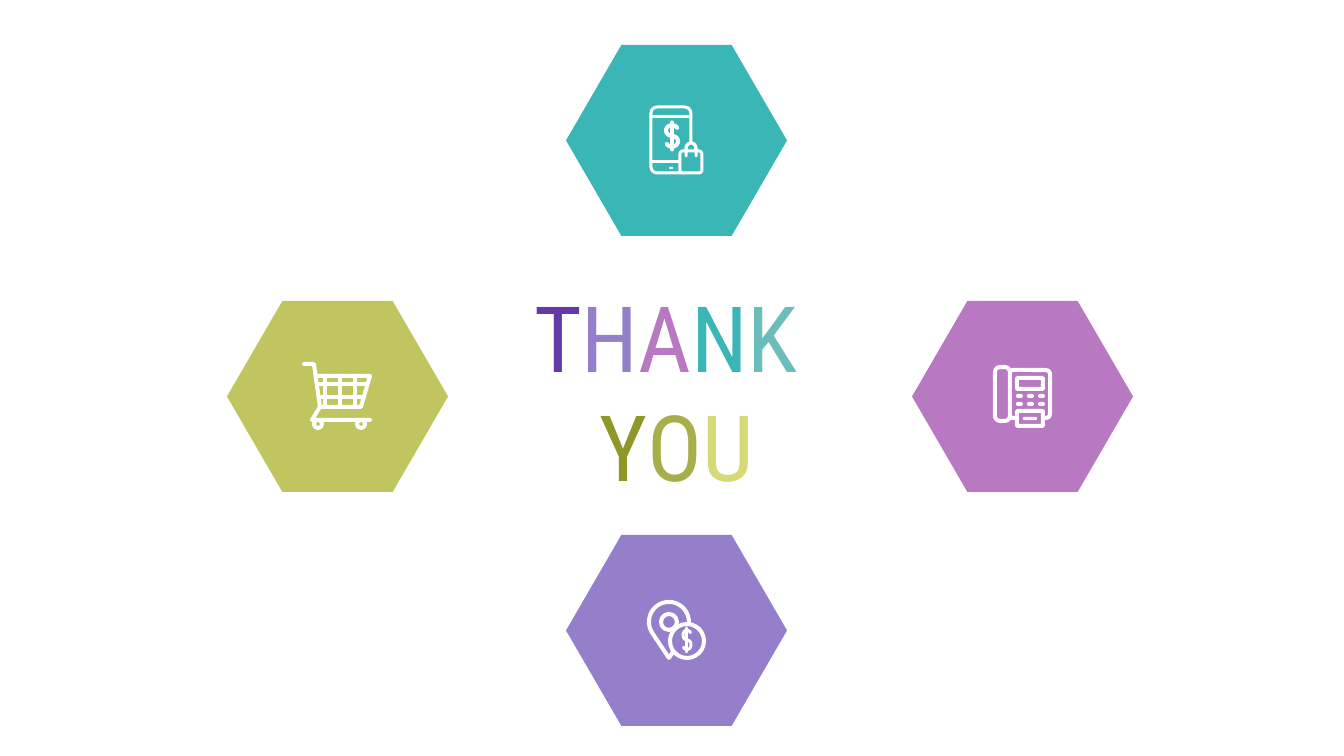
import math

import pptx
import pptx.dml.color
import pptx.enum.shapes
import pptx.enum.text
import pptx.util

RGB = pptx.dml.color.RGBColor
KIND = pptx.enum.shapes.MSO_SHAPE

EMU_PER_PX = 914400 / 134.4
WHITE = RGB(0xFF, 0xFF, 0xFF)
TEAL = RGB(0x39, 0xB6, 0xB5)
AQUA = RGB(0x69, 0xBE, 0xBC)
INDIGO = RGB(0x66, 0x39, 0xA8)
LAVENDER = RGB(0x95, 0x7F, 0xCA)
ORCHID = RGB(0xB8, 0x78, 0xC2)
LIME = RGB(0xC0, 0xC5, 0x5F)
OLIVE = RGB(0x90, 0x96, 0x28)
MOSS = RGB(0xA9, 0xAE, 0x4D)
YELLOW = RGB(0xD5, 0xDA, 0x76)

THANK = [("T", INDIGO), ("H", LAVENDER), ("A", ORCHID), ("N", TEAL), ("K ", AQUA)]
YOU = [("Y", OLIVE), ("O", MOSS), ("U", YELLOW)]


def px(n):
    return pptx.util.Emu(round(n * EMU_PER_PX))


def arc(cx, cy, rx, ry, start, end):
    """Points along an ellipse; degrees run clockwise from the right."""
    angles = [math.radians(start + (end - start) * i / 24) for i in range(25)]
    return [(cx + rx * math.cos(a), cy + ry * math.sin(a)) for a in angles]


class SlideBuilder:
    font = "Roboto Condensed"
    title_size = pptx.util.Pt(49)

    def __init__(self, prs):
        self.s = prs.slides.add_slide(prs.slide_layouts[5])

    def paint(self, sp, fill, weight):
        """Fill the shape, or leave it open, and give it a white line of weight px."""
        sp.shadow.inherit = False
        if fill is None:
            sp.fill.background()
        else:
            sp.fill.solid()
            sp.fill.fore_color.rgb = fill
        if weight:
            sp.line.color.rgb = WHITE
            sp.line.width = px(weight)
            sp.line._get_or_add_ln().set("cap", "rnd")
        else:
            sp.line.fill.background()

    def title(self, left, top, width, height, lines):
        sp = self.s.shapes.title
        sp.left, sp.top, sp.width, sp.height = map(px, (left, top, width, height))
        tf = sp.text_frame
        tf.word_wrap = True
        tf.auto_size = pptx.enum.text.MSO_AUTO_SIZE.NONE
        tf.vertical_anchor = pptx.enum.text.MSO_ANCHOR.MIDDLE
        tf.margin_left = tf.margin_right = tf.margin_top = tf.margin_bottom = pptx.util.Inches(0.1)
        for i, letters in enumerate(lines):
            p = tf.add_paragraph() if i else tf.paragraphs[0]
            p.alignment = pptx.enum.text.PP_ALIGN.CENTER
            for letter, color in letters:
                r = p.add_run()
                r.text = letter
                r.font.name = self.font
                r.font.size = self.title_size
                r.font.color.rgb = color

    def shape(self, kind, left, top, width, height, fill=None, weight=0):
        sp = self.s.shapes.add_shape(kind, *map(px, (left, top, width, height)))
        self.paint(sp, fill, weight)
        return sp

    def hexagon(self, left, top, fill):
        sp = self.shape(KIND.HEXAGON, left, top, 221, 191, fill)
        sp.adjustments[0] = 0.29

    def rounded(self, left, top, width, height, radius, fill=None, weight=0):
        sp = self.shape(KIND.ROUNDED_RECTANGLE, left, top, width, height, fill, weight)
        sp.adjustments[0] = radius / min(width, height)

    def circle(self, cx, cy, radius, fill=None, weight=0):
        self.shape(KIND.OVAL, cx - radius, cy - radius, 2 * radius, 2 * radius, fill, weight)

    def strokes(self, paths, weight, fill=None, close=False):
        """Draw several pen strokes as one outline."""
        paths = [[(px(x), px(y)) for x, y in path] for path in paths]
        builder = self.s.shapes.build_freeform(*paths[0][0], scale=1.0)
        for i, path in enumerate(paths):
            if i:
                builder.move_to(*path[0])
            builder.add_line_segments(path[1:], close=close)
        self.paint(builder.convert_to_shape(), fill, weight)

    def dollar(self, cx, cy, rx, height, weight):
        ry = height / 5
        curve = arc(cx, cy - ry, rx, ry, -30, -270) + arc(cx, cy + ry, rx, ry, -90, 150)
        bar = [(cx, cy - height / 2), (cx, cy + height / 2)]
        self.strokes([curve, bar], weight)

    def phone_icon(self):
        self.rounded(651, 107, 40, 66, 6, weight=3)
        self.strokes([[(651, y), (691, y)] for y in (117, 162)], 3)
        self.rounded(669, 167, 4, 2, 1, WHITE)
        self.dollar(672, 136, 6, 27, 4)
        handle = [(686, 156), *arc(691, 149, 5, 6, 180, 360), (696, 156)]
        self.strokes([handle], 3, TEAL)
        self.rounded(680, 151, 22, 22, 3, TEAL, 3)
        self.strokes([handle], 3)

    def pin_icon(self):
        pin = arc(669, 622, 20, 20, 145, 395) + [(669, 658)]
        self.strokes([pin], 4, close=True)
        self.circle(669, 622, 8, weight=4)
        self.circle(687, 641, 17, LAVENDER, 4)
        self.dollar(687, 640, 4, 24, 3)

    def cart_icon(self):
        basket = [(304, 364), (314, 364), (320, 407), (361, 407), (370, 376), (316, 376)]
        frame = [(320, 407), (312, 420), (370, 420)]
        columns = [[(x, 376), (x, 407)] for x in (325, 340, 355)]
        rows = [[(317, 384), (367, 384)], [(319, 397), (364, 397)]]
        self.strokes([basket, frame, *columns, *rows], 4)
        for cx in (318, 361):
            self.circle(cx, 424, 4, LIME, 4)

    def telephone_icon(self):
        self.rounded(1009, 370, 41, 48, 4, weight=4)
        self.rounded(995, 367, 15, 54, 5, ORCHID, 4)
        self.rounded(1017, 378, 26, 11, 1, weight=4)
        for row in range(2):
            for column in range(3):
                self.rounded(1016 + 11 * column, 394 + 8 * row, 7, 4, 2, WHITE)
        self.rounded(1017, 411, 26, 15, 1, ORCHID, 4)
        self.rounded(1023, 417, 14, 3, 1, WHITE)


def main():
    prs = pptx.Presentation()
    prs.slide_width, prs.slide_height = px(1344), px(756)
    slide = SlideBuilder(prs)
    slide.title(374, 367, 605, 47, [THANK, YOU])
    slide.hexagon(912, 301, ORCHID)
    slide.hexagon(566, 535, LAVENDER)
    slide.hexagon(566, 45, TEAL)
    slide.hexagon(227, 301, LIME)
    slide.pin_icon()
    slide.phone_icon()
    slide.cart_icon()
    slide.telephone_icon()
    prs.save("out.pptx")


if __name__ == "__main__":
    main()
